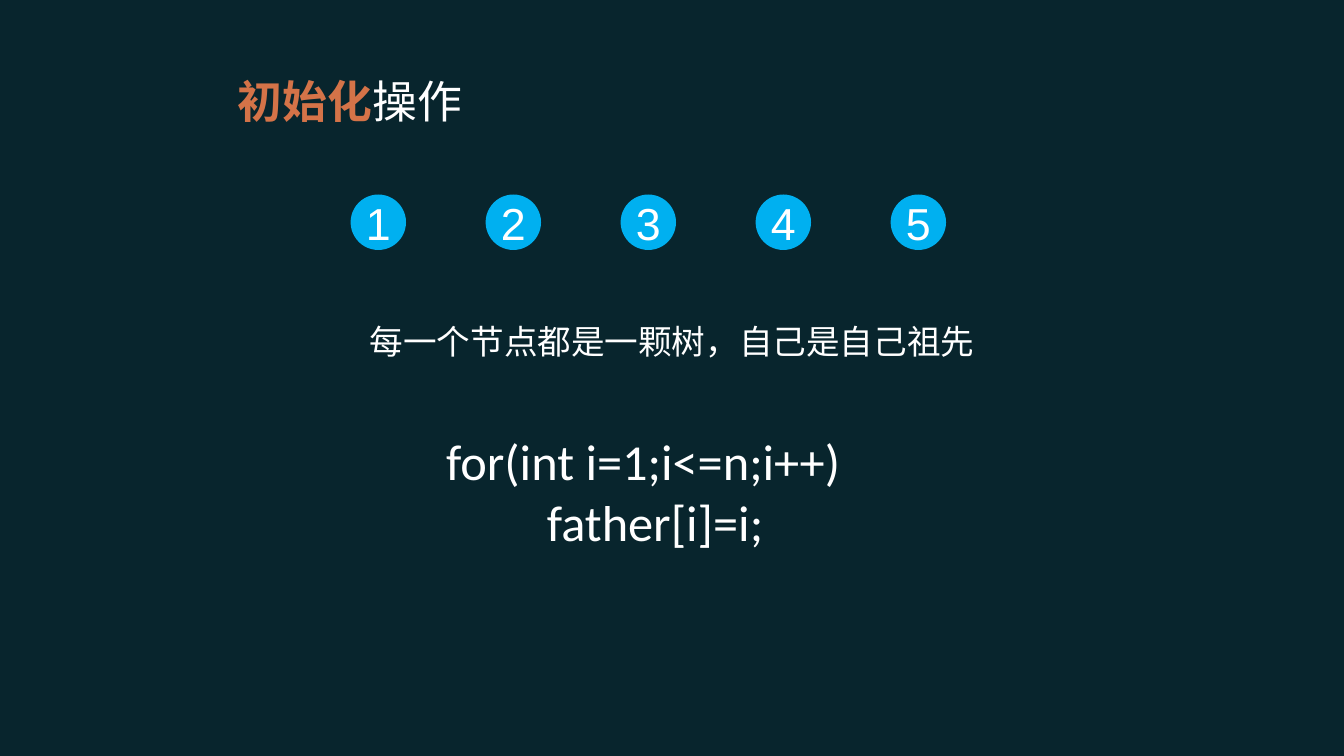
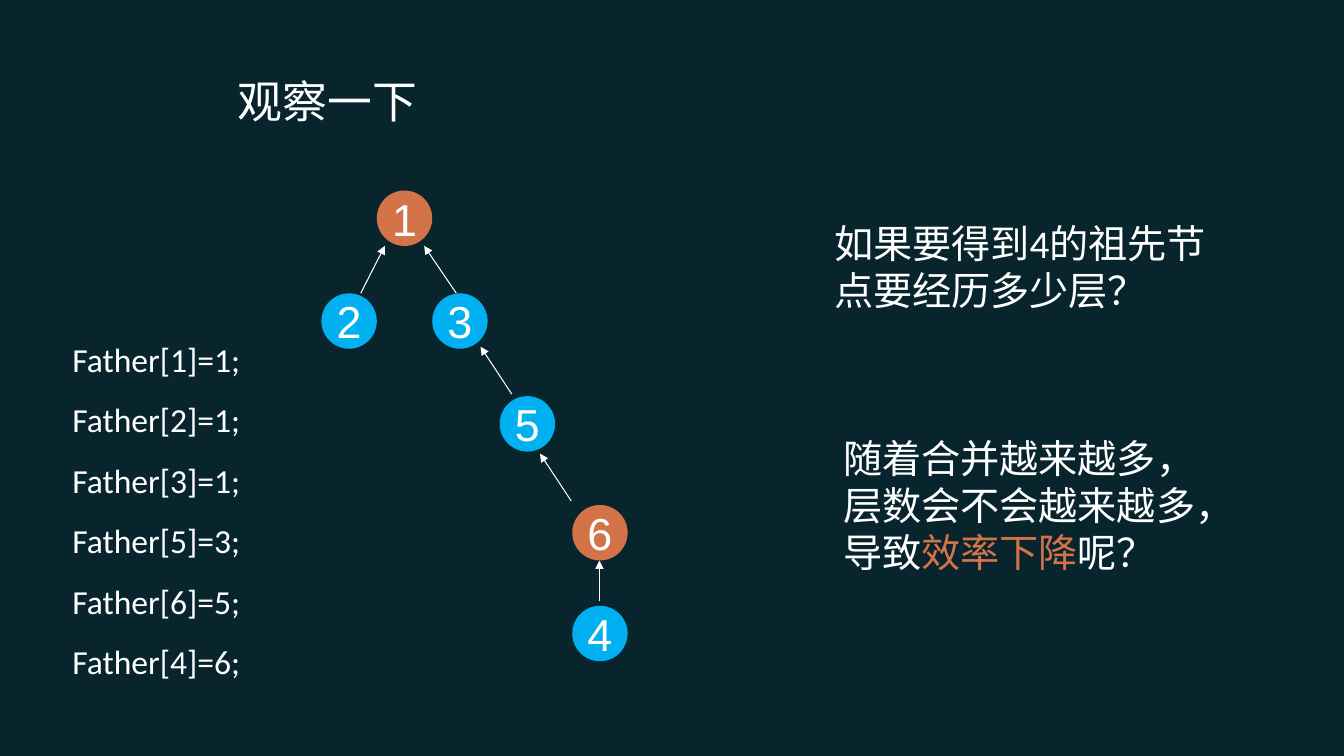
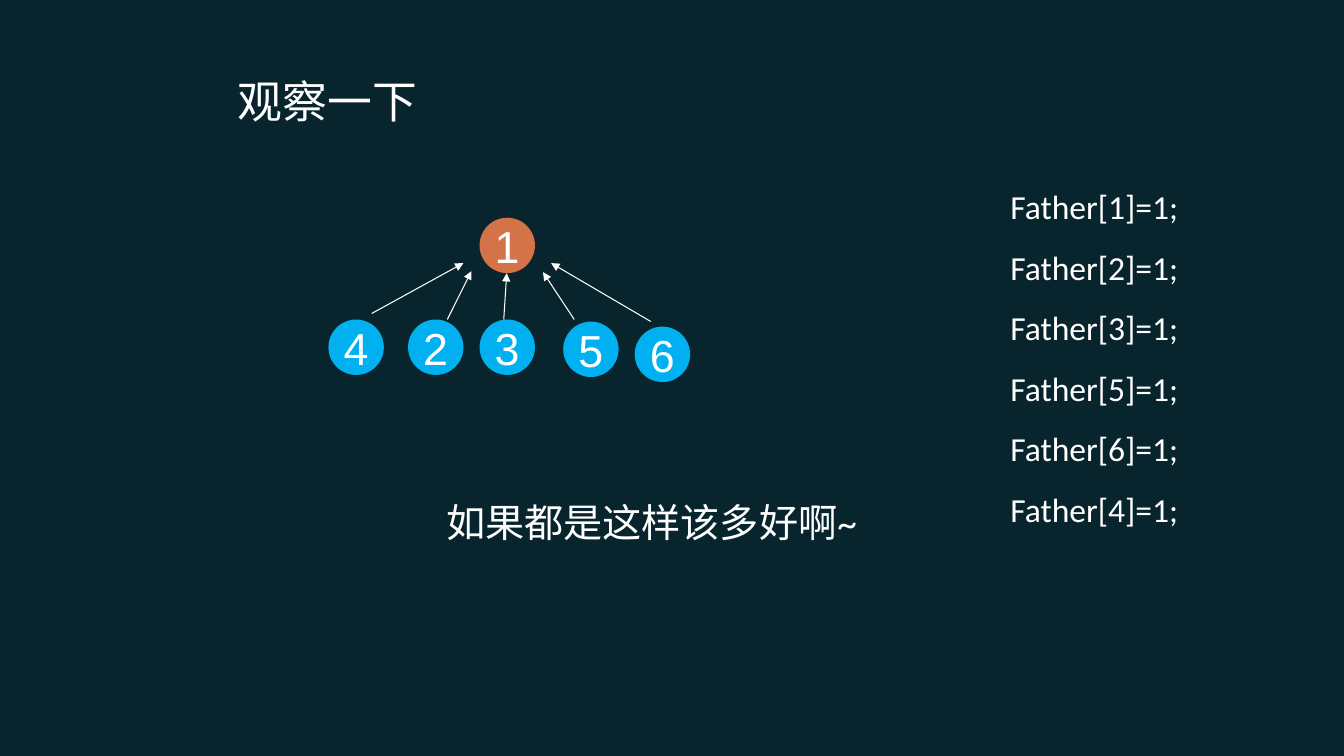
from lxml.etree import SubElement
from pptx import Presentation
from pptx.dml.color import RGBColor
from pptx.enum.shapes import MSO_CONNECTOR as Connector, MSO_SHAPE as Shape
from pptx.enum.text import MSO_ANCHOR as Anchor, MSO_AUTO_SIZE as AutoSize, PP_ALIGN as Align
from pptx.oxml.ns import qn
from pptx.util import Inches, Pt

BACKGROUND, WHITE, ORANGE, BLUE = "08252D", "FFFFFF", "D47348", "00B0F0"
LATIN, CHINESE, DIGITS = "Calibri", "Noto Sans CJK SC", "Arial"
DIAMETER = 0.55
ROW_LEFT, ROW_TOP, ROW_STEP = 3.48, 1.93, 1.34

SLIDES = [
    {
        "title": [("初始化", ORANGE, True), ("操作", WHITE)],
        "nodes": [(str(i + 1), ROW_LEFT + i * ROW_STEP, ROW_TOP, BLUE) for i in range(5)],
        "arrows": [],
        "texts": [
            {"box": (3.2, 3.13, 6.94, 0.5), "size": 24, "align": Align.CENTER,
             "lines": [[("每一个节点都是一颗树，自己是自己祖先", WHITE)]]},
            {"box": (4.33, 4.22, 4.68, 1.3), "size": 36, "indents": (0, 1),
             "lines": [[("for(int i=1;i<=n;i++)", WHITE)], [("father[i]=i;", WHITE)]]},
        ],
    },
    {
        "title": [("观察一下", WHITE)],
        "nodes": [("1", 3.74, 1.89, ORANGE), ("2", 3.19, 2.91, BLUE), ("3", 4.29, 2.91, BLUE),
                  ("5", 4.96, 3.93, BLUE), ("6", 5.68, 5.01, ORANGE), ("4", 5.68, 6.01, BLUE)],
        "arrows": [(3.58, 2.91, 3.82, 2.44), (4.53, 2.91, 4.21, 2.44), (5.08, 3.91, 4.77, 3.44),
                   (5.67, 4.97, 5.36, 4.5), (5.95, 5.96, 5.95, 5.56)],
        "fathers": (0.62, 3.11, [(1, 1), (2, 1), (3, 1), (5, 3), (6, 5), (4, 6)]),
        "texts": [
            {"box": (8.18, 2.13, 3.89, 1.04), "size": 28,
             "lines": [[("如果要得到4的祖先节点要经历多少层？", WHITE)]]},
            {"box": (8.27, 4.26, 3.89, 1.97), "size": 28,
             "lines": [[("随着合并越来越多，层数会不会越来越多，导致", WHITE),
                        ("效率下降", ORANGE), ("呢？", WHITE)]]},
        ],
    },
    {
        "title": [("观察一下", WHITE)],
        "nodes": [("1", 4.76, 2.16, ORANGE), ("4", 3.26, 3.17, BLUE), ("2", 4.05, 3.17, BLUE),
                  ("3", 4.76, 3.17, BLUE), ("5", 5.59, 3.19, BLUE), ("6", 6.3, 3.24, BLUE)],
        "arrows": [(3.69, 3.11, 4.6, 2.61), (4.44, 3.17, 4.68, 2.69), (5, 3.17, 5.03, 2.71),
                   (5.7, 3.17, 5.39, 2.7), (6.46, 3.19, 5.47, 2.61)],
        "fathers": (9.93, 1.6, [(node, 1) for node in (1, 2, 3, 5, 6, 4)]),
        "texts": [
            {"box": (4.33, 4.89, 4.5, 0.57), "size": 28,
             "lines": [[("如果都是这样该多好啊~", WHITE)]]},
        ],
    },
]


def color(value):
    return RGBColor.from_string(value)


def place(shape, box):
    shape.left, shape.top, shape.width, shape.height = map(Inches, box)


def add_run(paragraph, size, text, ink, bold=False, font_name=LATIN):
    run = paragraph.add_run()
    run.text = text
    run.font.name = font_name
    run.font.size = Pt(size)
    run.font.bold = bold
    run.font.color.rgb = color(ink)
    SubElement(run.font._element, qn("a:ea")).set("typeface", CHINESE)


def set_title(slide, runs):
    title = slide.shapes.title
    place(title, (2.26, 0.6, 7.95, 0.79))
    title.text_frame.vertical_anchor = Anchor.MIDDLE
    paragraph = title.text_frame.paragraphs[0]
    paragraph.alignment = Align.LEFT
    for run in runs:
        add_run(paragraph, 32, *run)


def add_text(slide, box, size, lines, align=Align.LEFT, spacing=1.0, indents=()):
    frame = slide.shapes.add_textbox(*map(Inches, box)).text_frame
    frame.word_wrap = True
    frame.auto_size = AutoSize.SHAPE_TO_FIT_TEXT
    for index, runs in enumerate(lines):
        paragraph = frame.add_paragraph() if index else frame.paragraphs[0]
        paragraph.alignment = align
        paragraph.line_spacing = spacing
        if indents:
            paragraph._p.get_or_add_pPr().set("marL", str(Inches(indents[index])))
        for run in runs:
            add_run(paragraph, size, *run)


def add_fathers(slide, left, top, pairs):
    lines = [[(f"Father[{node}]={father};", WHITE)] for node, father in pairs]
    add_text(slide, (left, top, 2.24, 3.7), 24, lines, spacing=1.5)


def add_node(slide, label, left, top, fill):
    node = slide.shapes.add_shape(Shape.OVAL, *map(Inches, (left, top, DIAMETER, DIAMETER)))
    node.shadow.inherit = False
    node.fill.solid()
    node.fill.fore_color.rgb = color(fill)
    node.line.fill.background()
    node.text_frame.word_wrap = False
    node.text_frame.vertical_anchor = Anchor.MIDDLE
    paragraph = node.text_frame.paragraphs[0]
    paragraph.alignment = Align.CENTER
    paragraph.space_before = Pt(8)
    add_run(paragraph, 32, label, WHITE, font_name=DIGITS)


def add_arrow(slide, *ends):
    arrow = slide.shapes.add_connector(Connector.STRAIGHT, *map(Inches, ends))
    arrow.line.color.rgb = color(WHITE)
    arrow.line.width = Pt(0.75)
    SubElement(arrow.line._get_or_add_ln(), qn("a:tailEnd")).set("type", "triangle")
    SubElement(arrow._element.spPr, qn("a:effectLst"))


def main():
    presentation = Presentation()
    presentation.slide_width, presentation.slide_height = Inches(13.34), Inches(7.5)
    background = presentation.slide_master.background.fill
    background.solid()
    background.fore_color.rgb = color(BACKGROUND)
    for content in SLIDES:
        slide = presentation.slides.add_slide(presentation.slide_layouts[5])
        set_title(slide, content["title"])
        for arrow in content["arrows"]:
            add_arrow(slide, *arrow)
        for node in content["nodes"]:
            add_node(slide, *node)
        if "fathers" in content:
            add_fathers(slide, *content["fathers"])
        for text in content["texts"]:
            add_text(slide, **text)
    presentation.save("out.pptx")


if __name__ == "__main__":
    main()
